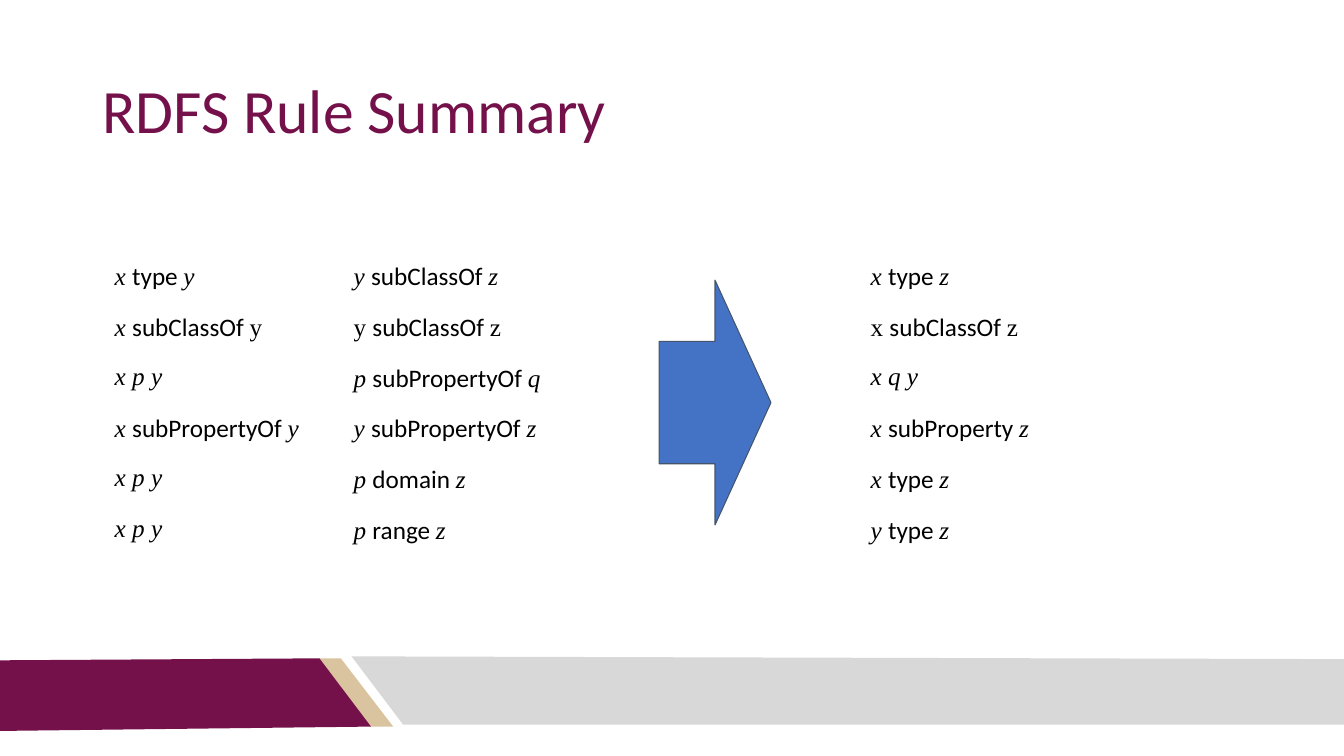
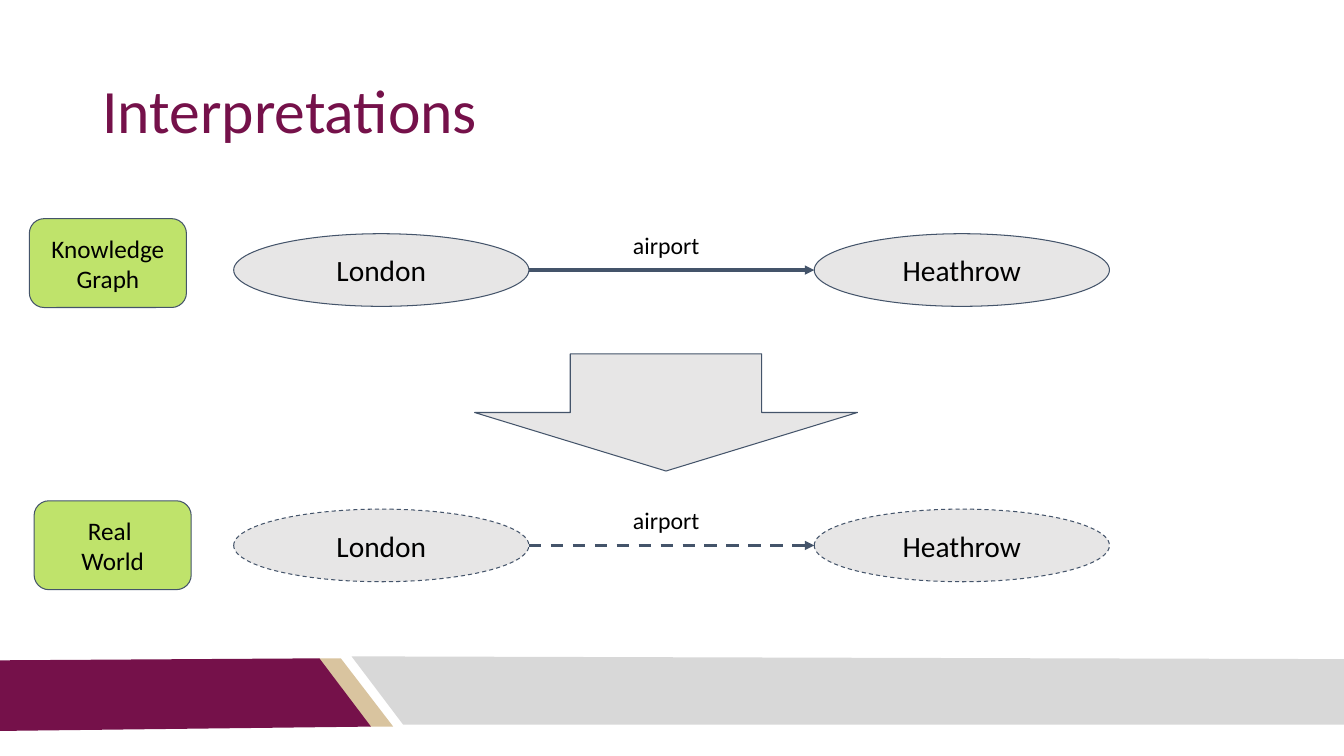
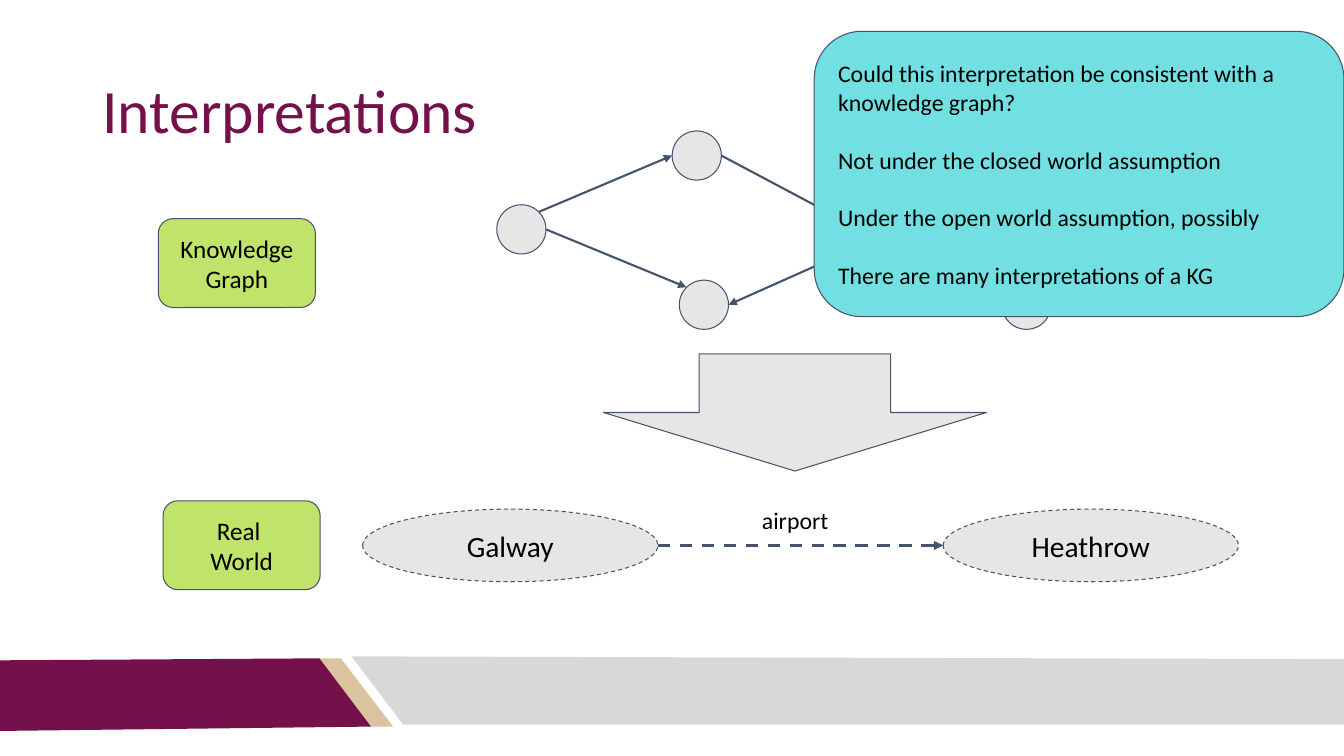
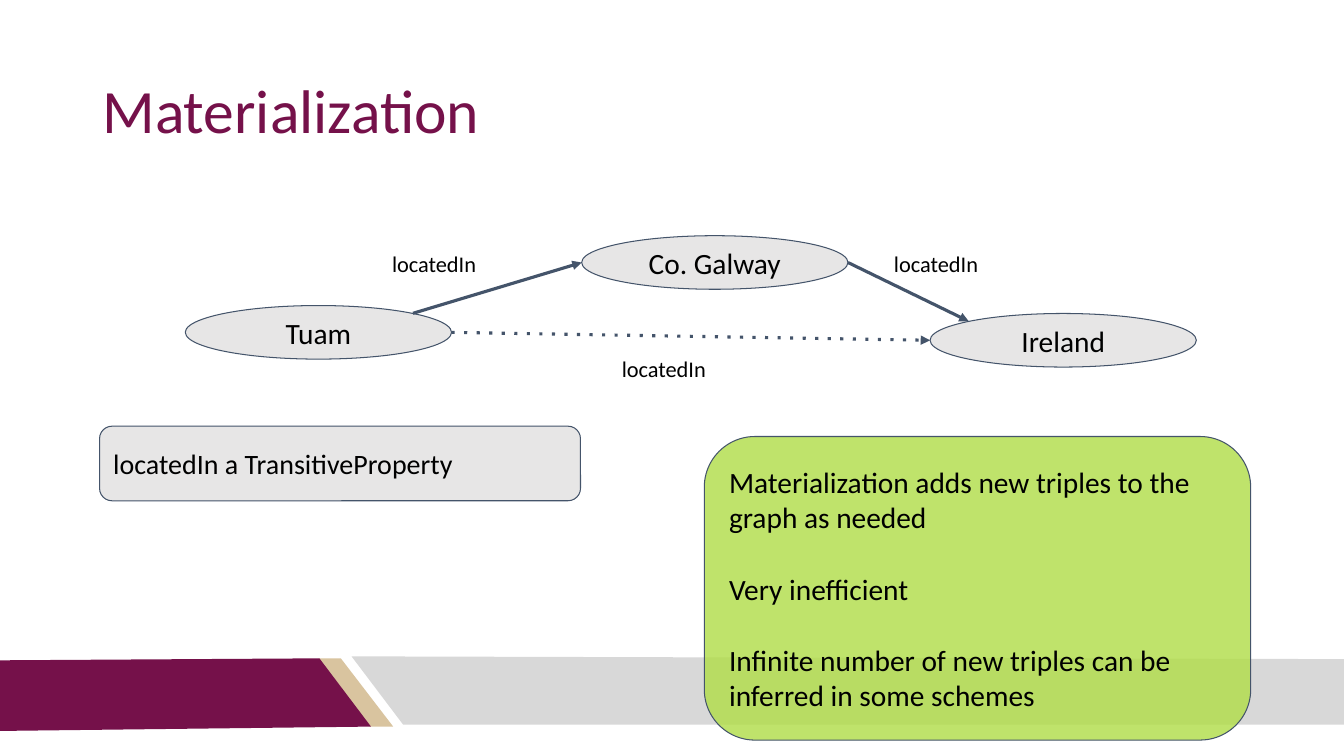
from lxml import etree
from pptx import Presentation
from pptx.dml.color import RGBColor
from pptx.enum import shapes, text
from pptx.oxml import ns
from pptx.util import Cm, Pt

COLORS = {
    "maroon": "75114A", "tan": "D9C49F", "silver": "D8D8D8",
    "node": "E7E6E6", "slate": "44546A", "blue": "4472C4",
    "lime": "B0DD46", "aqua": "72E0E2", "black": "000000",
}
SANS, SERIF = "Calibri", "Times New Roman"
KIND = shapes.MSO_SHAPE
LEFT, CENTER = text.PP_ALIGN.LEFT, text.PP_ALIGN.CENTER
MIDDLE, TOP = text.MSO_ANCHOR.MIDDLE, text.MSO_ANCHOR.TOP
INSET = Cm(0.25)
INSETS = {f"margin_{side}": INSET for side in ("left", "right", "top", "bottom")}

BANDS = {
    "tan": [(8.03, 16.59), (8.59, 16.59), (9.91, 18.31), (9.32, 18.31)],
    "maroon": [(-0.03, 16.64), (8.05, 16.59), (9.35, 18.31), (-0.03, 18.42)],
    "silver": [(33.87, 18.26), (10.16, 18.26), (8.86, 16.54), (33.87, 16.61)],
}

# Connection sites of an ellipse: index, then direction from its centre
DIAGONAL = 0.71
SITES = {
    "upper left": (1, -DIAGONAL, -DIAGONAL),
    "left": (2, -1, 0),
    "right": (6, 1, 0),
    "upper right": (7, DIAGONAL, -DIAGONAL),
}

# One-letter words are italic variables; a leading "=" keeps them upright
RULES = [
    ("x type y", "y subClassOf z", "x type z"),
    ("x subClassOf =y", "=y subClassOf =z", "=x subClassOf =z"),
    ("x p y", "p subPropertyOf q", "x q y"),
    ("x subPropertyOf y", "y subPropertyOf z", "x subProperty z"),
    ("x p y", "p domain z", "x type z"),
    ("x p y", "p range z", "y type z"),
]


def rgb(name):
    return RGBColor.from_string(COLORS[name])


def apply(target, values):
    for key, value in values.items():
        setattr(target, key, value)


def set_font(font, size, color="black", face=SANS, italic=False):
    apply(font, {"size": Pt(size), "name": face, "italic": italic})
    font.color.rgb = rgb(color)


def write(frame, paragraphs, size, align=CENTER, anchor=MIDDLE):
    """Fill a text frame, leaving one line's height between paragraphs."""
    apply(frame, {"word_wrap": True, "vertical_anchor": anchor, **INSETS})
    for i, words in enumerate(paragraphs):
        paragraph = frame.paragraphs[0] if i == 0 else frame.add_paragraph()
        paragraph.text = words
        paragraph.alignment = align
        if i:
            paragraph.space_before = Pt(round(size * 1.22, 1))
        set_font(paragraph.font, size)
        for run in paragraph.runs:
            set_font(run.font, size)


def stroke(item, width, dash=None, arrow=False):
    item.line.color.rgb = rgb("slate")
    item.line.width = Pt(width)
    outline = item.element.spPr.find(ns.qn("a:ln"))
    if dash:
        etree.SubElement(outline, ns.qn("a:prstDash"), val=dash)
    if arrow:
        etree.SubElement(outline, ns.qn("a:tailEnd"), type="triangle")


def add_figure(slide, kind, box, fill="node", words=(), size=21,
               align=CENTER, dash=None, opacity=100):
    figure = slide.shapes.add_shape(kind, *map(Cm, box))
    figure.shadow.inherit = False
    figure.fill.solid()
    figure.fill.fore_color.rgb = rgb(fill)
    if opacity < 100:
        tint = figure.element.spPr.find(ns.qn("a:solidFill"))[0]
        etree.SubElement(tint, ns.qn("a:alpha"), val=str(opacity * 1000))
    stroke(figure, 0.75, dash)
    if words:
        write(figure.text_frame, words, size, align)
    return figure


def add_label(slide, box, words, size, align=CENTER):
    label = slide.shapes.add_textbox(*map(Cm, box))
    write(label.text_frame, [words], size, align, TOP)


def locate(end):
    """Return the point of an (ellipse, site) pair or of plain (x, y) in cm."""
    place, site = end
    if site not in SITES:
        return Cm(place), Cm(site)
    _, dx, dy = SITES[site]
    return (int(place.left + place.width * (1 + dx) / 2),
            int(place.top + place.height * (1 + dy) / 2))


def link(slide, start, end, width=2.25, dash=None):
    """Draw an arrow and glue the ends that lie on ellipses."""
    arrow = slide.shapes.add_connector(
        shapes.MSO_CONNECTOR.STRAIGHT, *locate(start), *locate(end))
    stroke(arrow, width, dash, arrow=True)
    etree.SubElement(arrow.element.spPr, ns.qn("a:effectLst"))
    glue = arrow.element.nvCxnSpPr.cNvCxnSpPr
    for tag, (place, site) in (("a:stCxn", start), ("a:endCxn", end)):
        if site in SITES:
            etree.SubElement(glue, ns.qn(tag), id=str(place.shape_id),
                             idx=str(SITES[site][0]))


def add_bands(layout, slide):
    """Draw the bottom bands, then move them behind everything on the layout."""
    for i, (color, corners) in enumerate(BANDS.items()):
        points = [(Cm(x), Cm(y)) for x, y in corners]
        builder = slide.shapes.build_freeform(*points[0])
        builder.add_line_segments(points[1:], close=True)
        band = builder.convert_to_shape()
        band.shadow.inherit = False
        band.fill.solid()
        band.fill.fore_color.rgb = rgb(color)
        band.line.fill.background()
        band.element.nvSpPr.cNvPr.set("id", str(50 + i))
        layout.shapes.element.insert(2 + i, band.element)


def add_slide(prs, heading):
    slide = prs.slides.add_slide(prs.slide_layouts[5])
    title = slide.shapes.title
    apply(title, {"left": Cm(2.33), "top": Cm(1.01),
                  "width": Cm(29.21), "height": Cm(3.68)})
    frame = title.text_frame
    frame.text = heading
    apply(frame, {"auto_size": text.MSO_AUTO_SIZE.NONE,
                  "vertical_anchor": MIDDLE, **INSETS})
    apply(frame.paragraphs[0], {"alignment": LEFT, "line_spacing": 0.9})
    set_font(frame.paragraphs[0].runs[0].font, 44, "maroon")
    return slide


def write_triple(cell, triple):
    """Write a rule's triple with its variables in serif."""
    apply(cell, INSETS)
    cell.fill.background()
    words = triple.split()
    for i, word in enumerate(words):
        name = word.lstrip("=")
        variable = len(name) == 1
        run = cell.text_frame.paragraphs[0].add_run()
        run.text = name + (" " if i < len(words) - 1 else "")
        set_font(run.font, 18, face=SERIF if variable else SANS,
                 italic=variable and word == name)


def add_rules(slide, left, top):
    widths, row_height = (6.02, 13.03, 9.53), 1.07
    rules = slide.shapes.add_table(
        len(RULES), len(widths), Cm(left), Cm(top),
        Cm(sum(widths)), Cm(row_height * len(RULES))).table
    apply(rules, {"first_row": False, "horz_banding": False})
    for column, width in zip(rules.columns, widths):
        column.width = Cm(width)
    for r, triples in enumerate(RULES):
        rules.rows[r].height = Cm(row_height)
        for c, triple in enumerate(triples):
            write_triple(rules.cell(r, c), triple)
    add_figure(slide, KIND.RIGHT_ARROW, (left + 13.97, top + 0.71, 2.82, 6.17),
               "blue")


def add_airport(slide, left, top, city, dash=None):
    """Draw the statement city - airport - Heathrow."""
    start, end = (
        add_figure(slide, KIND.OVAL, (left + dx, top, 7.44, 1.83),
                   words=[name], dash=dash)
        for dx, name in ((0, city), (14.63, "Heathrow")))
    link(slide, (start, "right"), (end, "left"), dash=dash)
    add_label(slide, (left + 8.64, top - 0.33, 4.52, 1.24), "airport", 17)


def add_interpretation(slide, left, city):
    """Draw the level tags, the mapping arrow and the real-world statement."""
    for dx, top, words in ((0, 5.51, "Knowledge Graph"),
                           (0.12, 12.62, "Real \vWorld")):
        add_figure(slide, KIND.ROUNDED_RECTANGLE, (left + dx, top, 3.96, 2.24),
                   "lime", [words], 18, opacity=80)
    add_figure(slide, KIND.DOWN_ARROW, (left + 11.22, 8.92, 9.65, 2.95))
    add_airport(slide, left + 5.15, 12.83, city, "dash")


def add_abstract_graph(slide, left, top):
    west, north, south, _ = (
        add_figure(slide, KIND.OVAL, (left + dx, top + dy, 1.24, 1.24))
        for dx, dy in ((0, 1.86), (4.42, 0), (4.6, 3.76), (12.73, 3.76)))
    hub = left + 8.71
    for start, end in (
        ((west, "upper right"), (north, "left")),
        ((west, "right"), (south, "upper left")),
        ((north, "right"), (hub, top + 2.24)),
        ((hub, top + 3.1), (south, "right")),
    ):
        link(slide, start, end, 1.5)


def add_located_in(slide, left, top):
    tuam, county, ireland = (
        add_figure(slide, KIND.OVAL, (left + dx, top + dy, 6.71, 1.35),
                   words=[name])
        for dx, dy, name in ((0, 1.76, "Tuam"), (9.99, 0, "Co. Galway"),
                             (18.77, 1.96, "Ireland")))
    link(slide, (tuam, "upper right"), (county, "left"))
    link(slide, (county, "right"), (ireland, "upper left"))
    link(slide, (tuam, "right"), (ireland, "left"), dash="dot")
    for dx, dy in ((4.96, 0.11), (17.61, 0.11), (10.75, 2.77)):
        add_label(slide, (left + dx, top + dy, 3.45, 1.19), "locatedIn", 16, LEFT)


def main():
    prs = Presentation()
    prs.slide_width, prs.slide_height = Cm(33.87), Cm(19.05)

    summary = add_slide(prs, "RDFS Rule Summary")
    add_bands(summary.slide_layout, summary)
    add_rules(summary, 2.64, 6.35)

    london = add_slide(prs, "Interpretations")
    add_airport(london, 5.89, 5.89, "London")
    add_interpretation(london, 0.74, "London")

    galway = add_slide(prs, "Interpretations")
    add_interpretation(galway, 3.99, "Galway")
    add_abstract_graph(galway, 12.52, 3.3)
    add_figure(galway, KIND.ROUNDED_RECTANGLE, (20.52, 0.79, 13.35, 7.19), "aqua", [
        "Could this interpretation be consistent with a knowledge graph?",
        "Not under the closed world assumption",
        "Under the open world assumption, possibly",
        "There are many interpretations of a KG",
    ], 17, LEFT)

    materialization = add_slide(prs, "Materialization")
    add_located_in(materialization, 4.67, 5.94)
    add_figure(materialization, KIND.ROUNDED_RECTANGLE, (2.51, 10.74, 12.12, 1.88),
               words=["locatedIn a TransitiveProperty"], size=20, align=LEFT)
    add_figure(materialization, KIND.ROUNDED_RECTANGLE, (17.75, 11, 13.77, 7.65),
               "lime", [
        "Materialization adds new triples to the graph as needed",
        "Very inefficient",
        "Infinite number of new triples can be inferred in some schemes",
    ], 21, LEFT, opacity=80)

    prs.save("out.pptx")


if __name__ == "__main__":
    main()
